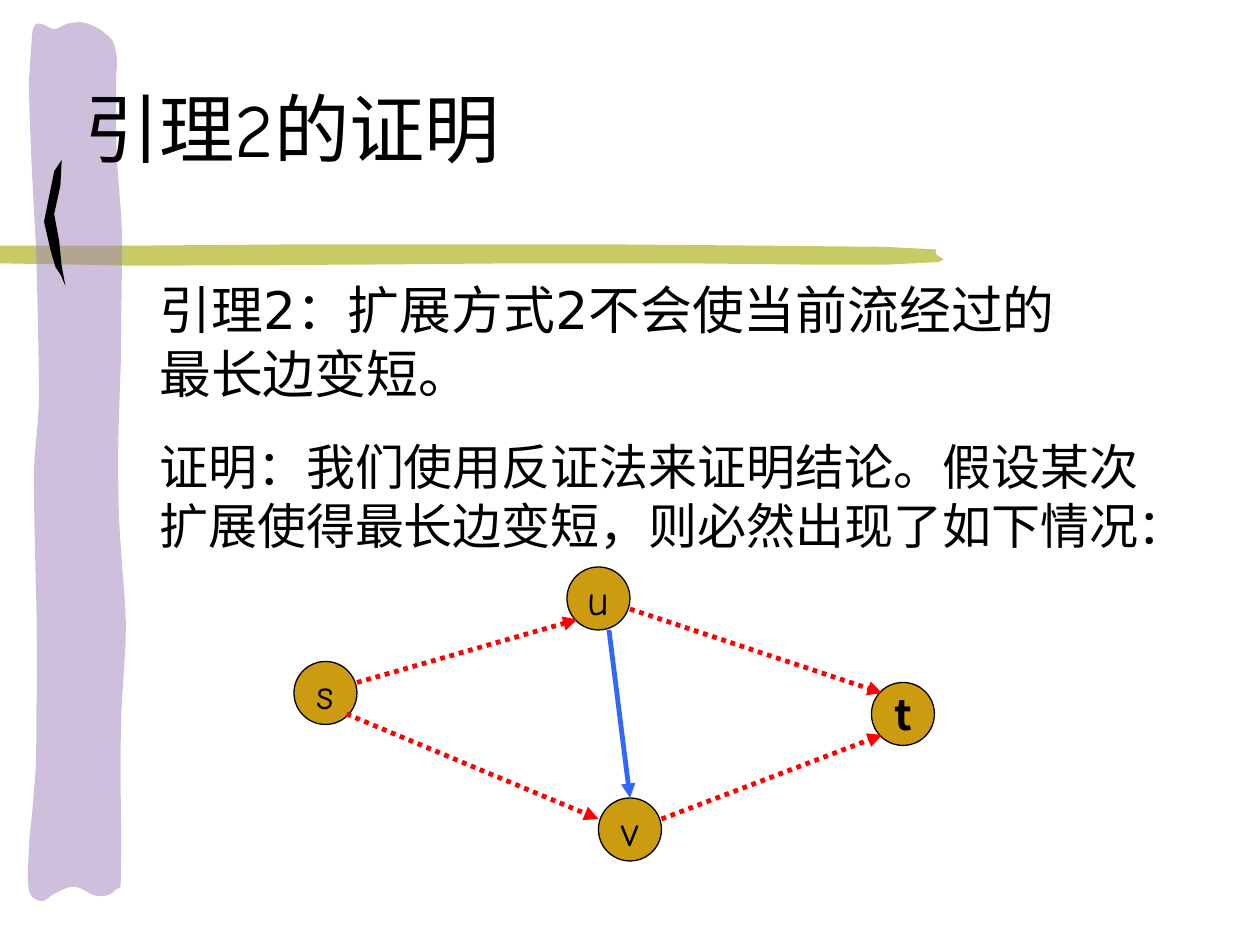
import pptx
import pptx.util
import pptx.dml.color
import pptx.enum.dml
import pptx.enum.shapes
import pptx.enum.text
import pptx.oxml
import pptx.oxml.ns

Pt = pptx.util.Pt
RGBColor = pptx.dml.color.RGBColor
Align = pptx.enum.text.PP_ALIGN
Anchor = pptx.enum.text.MSO_ANCHOR
Dash = pptx.enum.dml.MSO_LINE

BLACK = RGBColor(0x00, 0x00, 0x00)
OLIVE = RGBColor(0xC6, 0xCB, 0x65)
PURPLE = RGBColor(0x9F, 0x83, 0xBD)
GOLD = RGBColor(0xCC, 0x9B, 0x10)
BLUE = RGBColor(0x33, 0x66, 0xFF)
RED = RGBColor(0xFF, 0x00, 0x00)

COMIC = "Comic Neue"
HAN = "Noto Sans CJK SC"
DIGIT = "DejaVu Sans"

BAR = [
    (434.9, 1.4), (507.6, 2.1), (537.1, 3.6), (537.1, 6.4), (541.4, 9.3),
    (538.6, 10.8), (510.5, 12.2), (459.4, 12.2), (391.7, 11.5), (300.2, 11.5),
    (216.7, 12.2), (82.1, 12.9), (0.7, 11.5), (0, 1.4), (82.1, 1.4),
    (169.2, 0.7), (283.7, 0.7), (354.2, 0.7),
]
STRIPE = [
    (5.1, 391.7),
    (5.8, 374.4), (5.1, 356.4), (5.1, 334.1), (4.4, 311.8), (3.6, 277.9), (3.6, 257.8),
    (4.4, 238.4), (5.8, 235.5), (6.5, 216), (6.5, 195.9), (5.8, 162), (5.1, 139),
    (4.4, 116), (2.9, 97.2), (2.2, 79.2), (1.5, 62), (0.8, 46.8), (0.8, 34.6),
    (1.5, 22.4), (2.2, 10.8), (2.9, 5.1), (4.4, 0), (5.8, 1.5), (8, 1.5),
    (9.4, 1.5), (13, 4.4), (15.2, 4.4), (18, 4.4), (19.5, 2.2), (22.4, 1.5),
    (25.2, 0.8), (28.8, 0), (32.4, 0.8), (36, 1.5), (41.8, 4.4), (44.7, 7.2),
    (48.3, 10.1), (49.7, 11.6), (50.4, 17.3), (51.9, 22.4), (50.4, 28.8), (50.4, 38.9),
    (50.4, 49.7), (50.4, 65.6), (51.2, 80.7), (51.9, 95.1), (54, 108.8), (54, 128.2),
    (54, 146.9), (53.3, 170.7), (53.3, 193.7), (52.6, 217.5), (51.2, 244.1), (51.9, 269.3),
    (51.9, 293.8), (55.5, 321.2), (56.2, 344.2), (56.2, 367.2), (53.3, 383.8), (53.3, 407.6),
    (52.6, 430.6), (54, 469.5), (53.3, 484.6), (53.3, 499), (53.3, 494), (50.4, 496.1),
    (48.3, 499), (44, 500.4), (39.6, 499.7), (36, 499.7), (31, 494.7), (27.4, 494.7),
    (23.1, 494), (18.8, 496.8), (15.9, 498.3), (12.3, 499.7), (10.1, 503.3), (8, 502.6),
    (5.1, 502.6), (2.2, 501.2), (0.8, 496.8), (0, 491.8), (0, 483.2), (0.8, 473.8),
    (0.8, 464.4), (2.9, 453.6), (3.6, 440), (5.1, 426.3), (5.1, 409), (5.1, 391.7),
]
HOOK = [
    (10.1, 0), (9.4, 14.4), (5.8, 31), (8.6, 46.1), (10.1, 60.5), (12.2, 72),
    (9.4, 65.5), (6.5, 61.2), (3.6, 51.1), (0, 35.3), (2.9, 20.9), (5.8, 6.5),
]


def curve(pts, steps=6):
    out = [pts[0]]
    for k in range(0, len(pts) - 1, 3):
        a, b, c, d = pts[k:k + 4]
        for n in range(1, steps + 1):
            t = n / steps
            u = 1 - t
            out.append(tuple(
                u**3 * p + 3 * u * u * t * q + 3 * u * t * t * r + t**3 * s
                for p, q, r, s in zip(a, b, c, d)))
    return out


def stroke(slide, left, top, pts, color):
    spots = [(Pt(left + x), Pt(top + y)) for x, y in pts]
    form = slide.shapes.build_freeform(*spots[0], scale=1)
    form.add_line_segments(spots[1:], close=True)
    shape = form.convert_to_shape()
    shape.shadow.inherit = False
    shape.fill.solid()
    shape.fill.fore_color.rgb = color
    shape.line.fill.background()
    return shape


def decor(slide):
    stroke(slide, -2.2, 139, BAR, OLIVE)
    band = stroke(slide, 15.8, 12.2, curve(STRIPE), PURPLE)
    tint = band.element.find(".//" + pptx.oxml.ns.qn("a:srgbClr"))
    tint.append(pptx.oxml.parse_xml(
        '<a:alpha %s val="50000"/>' % pptx.oxml.ns.nsdecls("a")))
    stroke(slide, 25.2, 91.4, HOOK, BLACK)


def style(item, form):
    for key, val in form.items():
        setattr(item, key, val)


def write(para, text, name, size, bold=False):
    run = para.add_run()
    run.text = text
    style(run.font, {"name": name, "size": Pt(size), "bold": bold})
    run.font.color.rgb = BLACK


def place(shape, box):
    style(shape, dict(zip(("left", "top", "width", "height"), map(Pt, box))))


def title(slide, box):
    shape = slide.shapes.title
    place(shape, box)
    shape.element.getparent().append(shape.element)
    style(shape.text_frame, {"vertical_anchor": Anchor.MIDDLE, "word_wrap": True})
    para = shape.text_frame.paragraphs[0]
    para.alignment = Align.LEFT
    write(para, "引理2的证明", COMIC, 43)


def prose(slide, box, lines, size, form):
    frame = slide.shapes.add_textbox(*map(Pt, box)).text_frame
    frame.word_wrap = True
    for k, line in enumerate(lines):
        para = frame.add_paragraph() if k else frame.paragraphs[0]
        style(para, form)
        if k:
            para.space_before = Pt(8)
        for text, name in line:
            write(para, text, name, size)


def node(slide, box, text, name, bold):
    shape = slide.shapes.add_shape(pptx.enum.shapes.MSO_SHAPE.OVAL, *map(Pt, box))
    shape.shadow.inherit = False
    shape.fill.solid()
    shape.fill.fore_color.rgb = GOLD
    shape.line.color.rgb = BLACK
    shape.line.width = Pt(0.75)
    style(shape.text_frame, {"vertical_anchor": Anchor.MIDDLE, "word_wrap": False})
    para = shape.text_frame.paragraphs[0]
    para.alignment = Align.CENTER
    write(para, text, name, 24, bold)


def arrow(slide, ends, color, dash):
    link = slide.shapes.add_connector(
        pptx.enum.shapes.MSO_CONNECTOR.STRAIGHT, *map(Pt, ends))
    style(link.line, {"width": Pt(2.75), "dash_style": dash})
    link.line.color.rgb = color
    space = pptx.oxml.ns.nsdecls("a")
    link.line._get_or_add_ln().append(
        pptx.oxml.parse_xml('<a:tailEnd %s type="triangle"/>' % space))
    link.element.spPr.append(pptx.oxml.parse_xml("<a:effectLst %s/>" % space))


def graph(slide, left, top):
    for x, y, text, name, bold in (
            (0, 54, "s", COMIC, False), (174, 132, "v", COMIC, False),
            (330, 66, "t", "Noto Sans CJK JP", True), (156, 0, "u", COMIC, False)):
        node(slide, (left + x, top + y, 36, 36), text, name, bold)
    for x, y, p, q, color, dash in (
            (180, 36, 192, 132, BLUE, Dash.SOLID),
            (36, 66, 162, 30, RED, Dash.ROUND_DOT),
            (192, 24, 336, 72, RED, Dash.ROUND_DOT),
            (210, 144, 336, 96, RED, Dash.ROUND_DOT),
            (30, 84, 174, 144, RED, Dash.ROUND_DOT)):
        arrow(slide, (left + x, top + y, left + p, top + q), color, dash)


def main():
    deck = pptx.Presentation()
    style(deck, {"slide_width": Pt(720), "slide_height": Pt(540)})
    slide = deck.slides.add_slide(deck.slide_layouts[5])
    decor(slide)
    title(slide, (41, 43.2, 676.8, 59))
    prose(slide, (84, 162, 570, 90), [
        [("引理", HAN), ("2", DIGIT), ("：扩展方式", HAN), ("2", DIGIT),
         ("不会使当前流经过的", HAN)],
        [("最长边变短。", HAN)],
    ], 29.6, {"alignment": Align.JUSTIFY, "line_spacing": Pt(28.6)})
    prose(slide, (84, 246, 600, 75), [
        [("证明：我们使用反证法来证明结论。假设某次扩展使得最长边变短，则必然出现了如下情况：", COMIC)],
    ], 28, {"line_spacing": Pt(33.7)})
    graph(slide, 168, 324)
    deck.save("out.pptx")


if __name__ == "__main__":
    main()
